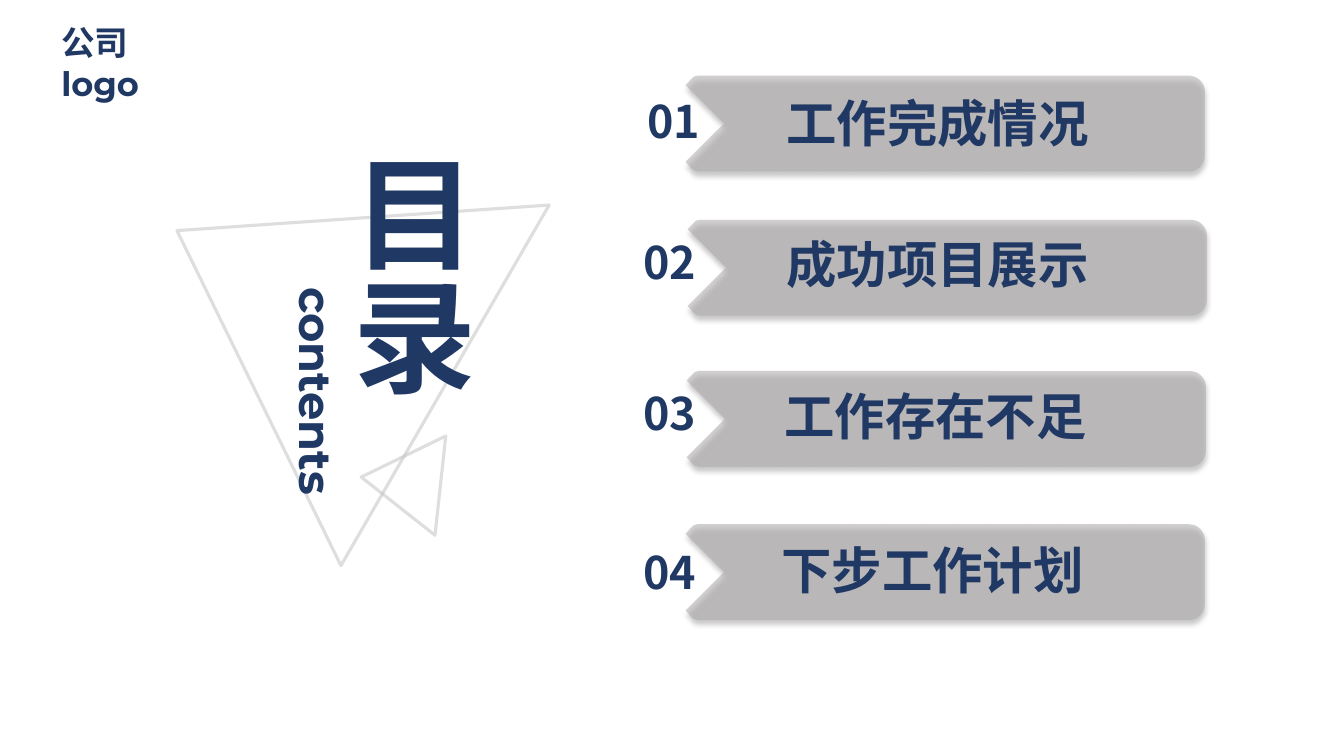
from math import cos, pi, sin, sqrt

from lxml import etree
from pptx import Presentation
from pptx.dml.color import RGBColor
from pptx.enum.shapes import MSO_SHAPE
from pptx.enum.text import MSO_AUTO_SIZE
from pptx.oxml.ns import qn
from pptx.util import Inches, Pt

TRIANGLE = MSO_SHAPE.ISOSCELES_TRIANGLE
GROW = MSO_AUTO_SIZE.SHAPE_TO_FIT_TEXT

THEME = {
    "navy": RGBColor.from_string("203864"),
    "tag": RGBColor.from_string("AFABAB"),
    "outline": RGBColor.from_string("BFBFBF"),
    "latin": "Montserrat",
    "cjk": "Noto Sans CJK SC",
    "logo": 24, "title": 88, "subtitle": 32, "number": 32, "item": 36,
    "tag_alpha": 55, "shadow_alpha": 40, "outline_alpha": 49,
}

# Number, wording, tag (left, top), number (left, top), wording (left, top)
ITEMS = [
    ("01", "工作完成情况", (6.80, 0.75), (6.32, 0.88), (7.70, 0.86)),
    ("02", "成功项目展示", (6.82, 2.18), (6.28, 2.28), (7.70, 2.26)),
    ("03", "工作存在不足", (6.81, 3.68), (6.28, 3.78), (7.68, 3.77)),
    ("04", "下步工作计划", (6.80, 5.20), (6.28, 5.35), (7.65, 5.30)),
]
TAG_SIZE = (5.15, 0.95)
NUMBER_SIZE = (0.84, 0.64)
ITEM_SIZE = (3.38, 0.71)


def add_alpha(fill, percent):
    color = fill._xPr.find(qn("a:solidFill"))[0]
    etree.SubElement(color, qn("a:alpha"), val=str(percent * 1000))


def add_text(s, box, text, size, font=THEME["latin"], vert=None):
    tf = s.shapes.add_textbox(*map(Inches, box)).text_frame
    for name, value in {"word_wrap": True, "auto_size": GROW}.items():
        setattr(tf, name, value)
    if vert:
        tf._txBody.bodyPr.set("vert", vert)
    r = tf.paragraphs[0].add_run()
    r.text = text
    for name, value in {"name": font, "size": Pt(size), "bold": True}.items():
        setattr(r.font, name, value)
    r.font.color.rgb = THEME["navy"]
    etree.SubElement(r._r.get_or_add_rPr(), qn("a:ea"), typeface=THEME["cjk"])


def add_triangle(s, box, rotation):
    sp = s.shapes.add_shape(TRIANGLE, *map(Inches, box))
    sp.rotation = rotation
    sp.shadow.inherit = False
    sp.fill.background()
    sp.line.width = Pt(2.25)
    sp.line.color.rgb = THEME["outline"]
    add_alpha(sp.line.fill, THEME["outline_alpha"])


def tag_outline(w, h, radius=0.16, notch=0.38, steps=8):
    """Points, from the centre, of a bar with a notch on the left."""
    angles = [pi / 2 * i / steps for i in range(steps + 1)]
    upper = [(0, h / 2 - notch), (0.04, 0.05), (0.06, 0.03), (0.08, 0.01),
             (0.12, 0), (0.15, 0)]
    upper += [(w - radius + radius * sin(a), radius - radius * cos(a))
              for a in angles]
    lower = [(x, h - y) for x, y in reversed(upper)]
    return [(x - w / 2, y - h / 2)
            for x, y in [(notch, h / 2)] + upper + lower]


def add_tag(s, left, top, w, h):
    """Bar drawn on the diagonal, then turned level by 45 degrees."""
    cx, cy = left + w / 2, top + h / 2
    points = [(Inches(cx + (x + y) / sqrt(2)), Inches(cy + (y - x) / sqrt(2)))
              for x, y in tag_outline(w, h)]
    builder = s.shapes.build_freeform(*points[0])
    builder.add_line_segments(points[1:], close=True)
    sp = builder.convert_to_shape()
    sp.rotation = 45
    sp.fill.solid()
    sp.fill.fore_color.rgb = THEME["tag"]
    add_alpha(sp.fill, THEME["tag_alpha"])
    sp.line.fill.background()
    sp.shadow.inherit = False
    effects = sp._element.spPr.find(qn("a:effectLst"))
    shadow = etree.SubElement(
        effects, qn("a:outerShdw"), blurRad=str(Pt(4)), dist=str(Pt(3)),
        dir="5400000", algn="t", rotWithShape="0")
    color = etree.SubElement(shadow, qn("a:srgbClr"), val="000000")
    etree.SubElement(color, qn("a:alpha"),
                     val=str(THEME["shadow_alpha"] * 1000))


def add_heading(s, left, top):
    """Title block: two triangles behind two vertical texts."""
    add_triangle(s, (left, top + 0.11, 4.13, 3.07), 300)
    add_text(s, (left + 2.16, top, 1.68, 2.83), "目录",
             THEME["title"], vert="eaVert")
    add_text(s, (left + 1.70, top + 1.34, 0.74, 2.55), "contents",
             THEME["subtitle"], vert="vert")
    add_triangle(s, (left + 2.46, top + 2.97, 0.99, 0.79), 276.2)


def add_item(s, number, text, tag_at, number_at, text_at):
    add_tag(s, *tag_at, *TAG_SIZE)
    add_text(s, number_at + NUMBER_SIZE, number, THEME["number"], THEME["cjk"])
    add_text(s, text_at + ITEM_SIZE, text, THEME["item"])


def main():
    prs = Presentation()
    prs.slide_width, prs.slide_height = Inches(13.33), Inches(7.5)
    s = prs.slides.add_slide(prs.slide_layouts[6])
    add_text(s, (0.51, 0.17, 1.36, 0.91), "公司logo", THEME["logo"])
    add_heading(s, 1.02, 1.41)
    for item in ITEMS:
        add_item(s, *item)
    prs.save("out.pptx")


if __name__ == "__main__":
    main()
